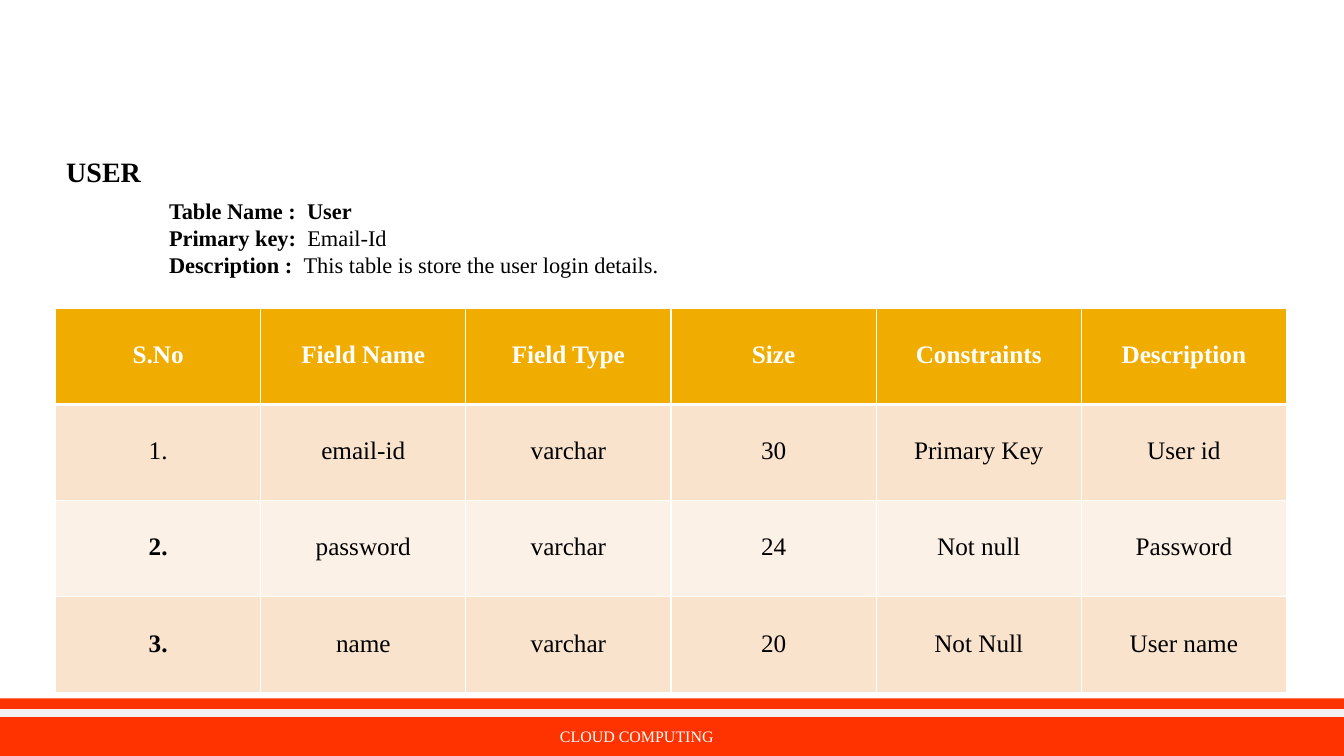
from dataclasses import dataclass

from pptx import Presentation
from pptx.dml.color import RGBColor as RGB
from pptx.enum.shapes import MSO_CONNECTOR as Connector, MSO_SHAPE as Shape
from pptx.enum.text import MSO_ANCHOR as Anchor, PP_ALIGN as Align
from pptx.oxml import parse_xml
from pptx.oxml.ns import nsdecls
from pptx.util import Cm, Pt

# Content: each paragraph is a list of (text, bold) runs
HEADING = [[("USER", True)]]
DETAILS = [
    [("Table Name :  User", True)],
    [("Primary key:  ", True), ("Email-Id", False)],
    [("Description :  ", True), ("This table is store the user login details.", False)],
]
FIELDS = [
    ("S.No", "Field Name", "Field Type", "Size", "Constraints", "Description"),
    ("1.", "email-id", "varchar", "30", "Primary Key", "User id"),
    ("2.", "password", "varchar", "24", "Not null", "Password"),
    ("3.", "name", "varchar", "20", "Not Null", "User name"),
]
BOLD_NUMBERS = ("2.", "3.")
FOOTER = [[("CLOUD COMPUTING", False)]]


@dataclass(frozen=True)
class Theme:
    font: str = "Times New Roman"
    ink: str = "000000"
    paper: str = "FFFFFF"
    band: str = "FF3300"
    stripe: str = "F2F2F2"
    header: str = "F0AD00"
    rows: tuple = ("FCF1E7", "F9E3CC")
    heading_size: float = 20
    details_size: float = 16
    table_size: float = 18
    footer_size: float = 11.4
    stripe_width: float = 6
    grid_width: float = 1
    header_rule: float = 3


THEME = Theme()
WIDTH, HEIGHT = 33.87, 19.05
BAND_TOP, STRIPE_Y = 17.6, 17.96
TABLE_LEFT, TABLE_TOP = 1.4, 7.77
COLUMN_WIDTH, ROW_HEIGHT = 5.17, 2.42


def style(font, size, color, bold=None):
    font.name, font.size, font.bold = THEME.font, Pt(size), bold
    font.color.rgb = RGB.from_string(color)


def add_text(slide, box, paragraphs, size, color=THEME.ink, align=Align.LEFT, anchor=Anchor.TOP):
    frame = slide.shapes.add_textbox(*map(Cm, box)).text_frame
    frame.word_wrap, frame.vertical_anchor = True, anchor
    for i, runs in enumerate(paragraphs):
        line = frame.add_paragraph() if i else frame.paragraphs[0]
        line.alignment = align
        style(line.font, size, color, runs[0][1])
        for text, bold in runs:
            run = line.add_run()
            run.text = text
            if bold != runs[0][1]:
                run.font.bold = bold


def set_borders(cell, widths):
    props = cell._tc.get_or_add_tcPr()
    for i, (side, width) in enumerate(widths.items()):
        props.insert(i, parse_xml(
            f'<a:{side} {nsdecls("a")} w="{Pt(width)}"><a:solidFill>'
            f'<a:srgbClr val="{THEME.paper}"/></a:solidFill></a:{side}>'))


def add_footer(slide):
    band = slide.shapes.add_shape(
        Shape.RECTANGLE, 0, Cm(BAND_TOP), Cm(WIDTH), Cm(HEIGHT - BAND_TOP))
    band.shadow.inherit = False
    band.fill.solid()
    band.fill.fore_color.rgb = RGB.from_string(THEME.band)
    band.line.fill.background()

    stripe = slide.shapes.add_connector(
        Connector.STRAIGHT, 0, Cm(STRIPE_Y), Cm(WIDTH), Cm(STRIPE_Y))
    stripe.line.color.rgb = RGB.from_string(THEME.stripe)
    stripe.line.width = Pt(THEME.stripe_width)
    stripe._element.spPr.append(parse_xml(f'<a:effectLst {nsdecls("a")}/>'))

    add_text(slide, (10.69, 18.03, 10.72, 1.02), FOOTER, THEME.footer_size,
             THEME.paper, Align.CENTER, Anchor.MIDDLE)


def add_fields(slide):
    row_count, column_count = len(FIELDS), len(FIELDS[0])
    table = slide.shapes.add_table(
        row_count, column_count, Cm(TABLE_LEFT), Cm(TABLE_TOP),
        Cm(COLUMN_WIDTH * column_count), Cm(ROW_HEIGHT * row_count)).table
    for column in table.columns:
        column.width = Cm(COLUMN_WIDTH)
    for r, values in enumerate(FIELDS):
        table.rows[r].height = Cm(ROW_HEIGHT)
        is_header = r == 0
        for c, value in enumerate(values):
            cell = table.cell(r, c)
            cell.text, cell.vertical_anchor = value, Anchor.MIDDLE
            cell.fill.solid()
            cell.fill.fore_color.rgb = RGB.from_string(
                THEME.header if is_header else THEME.rows[r % 2])
            line = cell.text_frame.paragraphs[0]
            line.alignment, line.line_spacing = Align.CENTER, 0.9
            bold = is_header or value in BOLD_NUMBERS
            # The run is styled itself so that the table style cannot override it
            style(line.runs[0].font, THEME.table_size,
                  THEME.paper if is_header else THEME.ink, bold)
            # The heavy rule is shared by the header and the row below it
            set_borders(cell, {
                "lnL": THEME.grid_width,
                "lnR": THEME.grid_width,
                "lnT": THEME.header_rule if r == 1 else THEME.grid_width,
                "lnB": THEME.header_rule if is_header else THEME.grid_width,
            })


def main():
    deck = Presentation()
    deck.slide_width, deck.slide_height = Cm(WIDTH), Cm(HEIGHT)
    slide = deck.slides.add_slide(deck.slide_layouts[6])
    add_footer(slide)
    add_text(slide, (1.42, 3.76, 4.32, 1.12), HEADING, THEME.heading_size)
    add_text(slide, (4.01, 4.85, 18.8, 2.31), DETAILS, THEME.details_size)
    add_fields(slide)
    deck.save("out.pptx")


if __name__ == "__main__":
    main()
